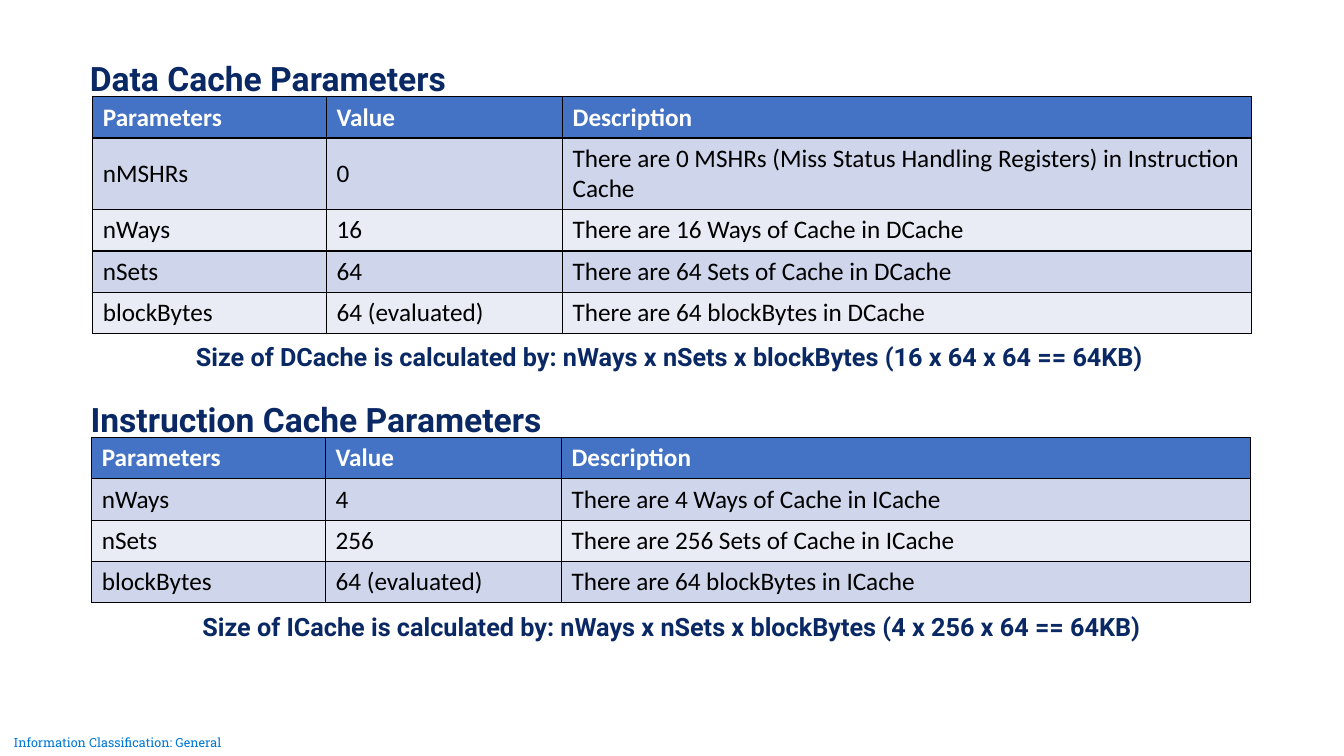
from lxml import etree
from pptx import Presentation
from pptx.dml.color import RGBColor
from pptx.enum.text import MSO_ANCHOR, MSO_AUTO_SIZE, PP_ALIGN
from pptx.oxml.ns import qn
from pptx.util import Pt

PX = 9144  # 100 px to the inch
LEFT, CENTER = PP_ALIGN.LEFT, PP_ALIGN.CENTER
MIDDLE = MSO_ANCHOR.MIDDLE
NO_AUTOFIT = MSO_AUTO_SIZE.NONE
TITLE_ONLY = 5

HEADER = ("Parameters", "Value", "Description")
DATA_CACHE = [
    HEADER,
    ("nMSHRs", "0", "There are 0 MSHRs (Miss Status Handling Registers) in Instruction Cache"),
    ("nWays", "16", "There are 16 Ways of Cache in DCache"),
    ("nSets", "64", "There are 64 Sets of Cache in DCache"),
    ("blockBytes", "64 (evaluated)", "There are 64 blockBytes in DCache"),
]
INSTRUCTION_CACHE = [
    HEADER,
    ("nWays", "4", "There are 4 Ways of Cache in ICache"),
    ("nSets", "256", "There are 256 Sets of Cache in ICache"),
    ("blockBytes", "64 (evaluated)", "There are 64 blockBytes in ICache"),
]


def rgb(color):
    return RGBColor.from_string(color)


class CacheSlide:
    navy, black, white = "092864", "000000", "FFFFFF"
    footer_blue, header_fill = "0078D7", "4472C4"
    bands = ("CFD5EA", "E9EBF5")
    heading_font, table_font, footer_font = "Roboto", "Calibri", "Roboto Slab"
    columns, row_height = (232, 234, 683), 41

    def __init__(self, prs):
        self.s = prs.slides.add_slide(prs.slide_layouts[TITLE_ONLY])

    def style(self, tf, text, size, color, font, bold=False):
        tf.text = text
        p = tf.paragraphs[0]
        r = p.runs[0]
        r.font.size, r.font.name, r.font.bold = Pt(size), font, bold
        r.font.color.rgb = rgb(color)
        return p

    def place(self, sp, x, y, w, h):
        sp.left, sp.top, sp.width, sp.height = (v * PX for v in (x, y, w, h))
        tf = sp.text_frame
        tf.word_wrap = True
        tf.auto_size = NO_AUTOFIT
        tf.vertical_anchor = MIDDLE
        return tf

    def heading(self, sp, text, x, y, h, size=24, align=LEFT):
        tf = self.place(sp, x, y, 1150, h)
        p = self.style(tf, text, size, self.navy, self.heading_font, True)
        p.alignment, p.line_spacing = align, 0.9

    def title(self, text, x, y, h):
        self.heading(self.s.shapes.title, text, x, y, h)

    def subtitle(self, text, x, y, h):
        self.heading(self.box(), text, x, y, h)

    def formula(self, text, x, y, h):
        self.heading(self.box(), text, x, y, h, 18, CENTER)

    def box(self):
        return self.s.shapes.add_textbox(0, 0, 0, 0)

    def footer(self, text, x, y, w, h):
        tf = self.place(self.box(), x, y, w, h)
        tf.margin_left = tf.margin_right = tf.margin_top = tf.margin_bottom = 0
        self.style(tf, text, 9, self.footer_blue, self.footer_font).alignment = CENTER

    def border(self, cell):
        tc_pr = cell._tc.get_or_add_tcPr()
        for side in ("a:lnL", "a:lnR", "a:lnT", "a:lnB"):
            ln = etree.SubElement(tc_pr, qn(side), w=str(Pt(1)))
            fill = etree.SubElement(ln, qn("a:solidFill"))
            etree.SubElement(fill, qn("a:srgbClr"), val=self.black)

    def table(self, rows, x, y):
        frame = self.s.shapes.add_table(
            len(rows), len(self.columns), x * PX, y * PX,
            sum(self.columns) * PX, len(rows) * self.row_height * PX)
        table = frame.table
        for column, width in zip(table.columns, self.columns):
            column.width = width * PX
        for i, values in enumerate(rows):
            header = i == 0
            fill = self.header_fill if header else self.bands[(i - 1) % 2]
            color = self.white if header else self.black
            for j, value in enumerate(values):
                cell = table.cell(i, j)
                self.border(cell)
                cell.fill.solid()
                cell.fill.fore_color.rgb = rgb(fill)
                cell.vertical_anchor = MIDDLE
                self.style(cell.text_frame, value, 18, color, self.table_font, header)


def main():
    prs = Presentation()
    prs.slide_width, prs.slide_height = 1333 * PX, 750 * PX
    s = CacheSlide(prs)
    s.footer("Information Classification: General", 0, 724, 233, 26)
    s.title("Data Cache Parameters", 79, 55, 49)
    s.table(DATA_CACHE, 92, 96)
    s.formula("Size of DCache is calculated by: nWays x nSets x blockBytes (16 x 64 x 64 == 64KB)",
              89, 330, 51)
    s.subtitle("Instruction Cache Parameters", 80, 393, 51)
    s.table(INSTRUCTION_CACHE, 91, 434)
    s.formula("Size of ICache is calculated by: nWays x nSets x blockBytes (4 x 256 x 64 == 64KB)",
              91, 599, 49)
    prs.save("out.pptx")


if __name__ == "__main__":
    main()
